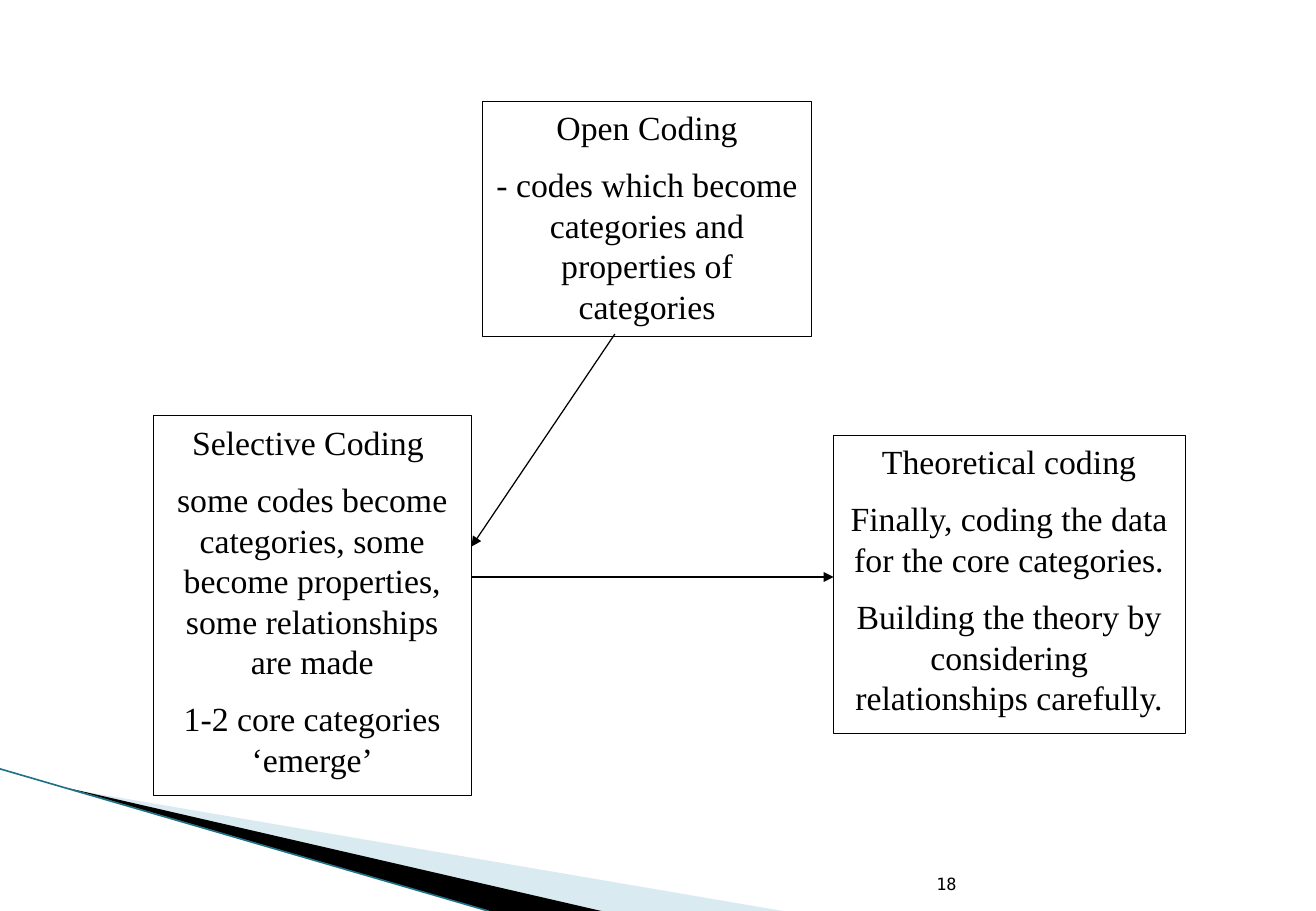
from dataclasses import dataclass

from lxml.etree import SubElement
from pptx import Presentation
from pptx.dml.color import RGBColor as RGB
from pptx.enum.shapes import MSO_CONNECTOR as CONN, MSO_SHAPE as SHAPE
from pptx.enum.text import MSO_ANCHOR as ANCHOR, PP_ALIGN as ALIGN
from pptx.oxml.ns import qn
from pptx.util import Inches, Pt


@dataclass(frozen=True)
class Theme:
    ink: RGB = RGB(0, 0, 0)
    pale: RGB = RGB(0xA0, 0xCB, 0xDC)
    teal: RGB = RGB(0x1F, 0x71, 0x86)
    body_font: str = "Times New Roman"
    number_font: str = "DejaVu Sans Mono"
    body_size: int = 20
    number_size: int = 10
    box_line: float = 0.25
    arrow_line: float = 0.75
    edge_line: float = 0.95


THEME = Theme()


def add_text(tf, paragraphs, *, font=THEME.body_font, size=THEME.body_size,
             color=THEME.ink, align=ALIGN.CENTER, anchor=ANCHOR.TOP, before=0):
    tf.word_wrap = True
    tf.vertical_anchor = anchor
    for i, text in enumerate(paragraphs):
        p = tf.add_paragraph() if i else tf.paragraphs[0]
        p.alignment = align
        p.space_before = Pt(before)
        r = p.add_run()
        r.text = text
        r.font.name, r.font.size, r.font.color.rgb = font, Pt(size), color


def add_line(slide, start, end, color, width, arrow=False):
    x1, y1, x2, y2 = (Inches(v) for v in (*start, *end))
    line = slide.shapes.add_connector(CONN.STRAIGHT, x1, y1, x2, y2)
    line.line.color.rgb = color
    line.line.width = Pt(width)
    if arrow:
        SubElement(line.line._get_or_add_ln(), qn("a:tailEnd"), type="triangle")
    SubElement(line._element.spPr, qn("a:effectLst"))


def add_wedge(slide, box, points, color, opacity=100):
    """Draw a filled outline; points are offsets from the box corner."""
    left, top = box[:2]
    pts = [(Inches(left + x), Inches(top + y)) for x, y in points]
    builder = slide.shapes.build_freeform(*pts[0])
    builder.add_line_segments(pts[1:], close=True)
    sp = builder.convert_to_shape()
    sp.shadow.inherit = False
    sp.fill.solid()
    sp.fill.fore_color.rgb = color
    sp.line.fill.background()
    if opacity < 100:
        clr = sp._element.spPr.find(".//" + qn("a:srgbClr"))
        SubElement(clr, qn("a:alpha"), val=str(opacity * 1000))


def add_corner(slide, box):
    """Swoosh in the lower left corner."""
    left, top, width, height = box
    add_wedge(slide, box, [(0.59, 0.17), (6.44, height), (4.94, height)],
              THEME.pale, opacity=40)
    add_wedge(slide, box, [(0.57, 0.16), (4.95, height), (4.03, height)],
              THEME.ink)
    add_line(slide, (left, top), (left + 4.02, top + height),
             THEME.teal, THEME.edge_line)


def add_coding_box(slide, box, paragraphs):
    sp = slide.shapes.add_shape(SHAPE.RECTANGLE, *(Inches(v) for v in box))
    sp.shadow.inherit = False
    sp.fill.background()
    sp.line.color.rgb = THEME.ink
    sp.line.width = Pt(THEME.box_line)
    add_text(sp.text_frame, paragraphs, before=THEME.body_size / 2)


def add_page_number(slide, box, number):
    sp = slide.shapes.add_textbox(*(Inches(v) for v in box))
    add_text(sp.text_frame, [number], font=THEME.number_font,
             size=THEME.number_size, align=ALIGN.RIGHT, anchor=ANCHOR.BOTTOM)


OPEN_BOX = (3.97, 0.83, 2.71, 1.94)
SELECTIVE_BOX = (1.26, 3.42, 2.62, 3.13)
THEORETICAL_BOX = (6.86, 3.58, 2.89, 2.46)

CODING_STEPS = [
    (OPEN_BOX, ["Open Coding",
                "- codes which become categories and properties of categories"]),
    (SELECTIVE_BOX, ["Selective Coding ",
                     "some codes become categories, some become properties, "
                     "some relationships are made",
                     "1-2 core categories ‘emerge’"]),
    (THEORETICAL_BOX, ["Theoretical coding",
                       "Finally, coding the data for the core categories.",
                       "Building the theory by considering relationships "
                       "carefully."]),
]

prs = Presentation()
prs.slide_width, prs.slide_height = Inches(10.83), Inches(7.5)
slide = prs.slides.add_slide(prs.slide_layouts[6])

# Decoration and page number
add_corner(slide, (0, 6.33, 6.44, 1.17))
add_page_number(slide, (5.19, 7.01, 2.78, 0.4), "18")

# Coding steps
for box, paragraphs in CODING_STEPS:
    add_coding_box(slide, box, paragraphs)

# Arrows leave and reach the right edge of the selective coding box
selective_right = SELECTIVE_BOX[0] + SELECTIVE_BOX[2]
for start, end in [((5.06, 2.75), (selective_right, 4.5)),
                   ((selective_right, 4.75), (THEORETICAL_BOX[0], 4.75))]:
    add_line(slide, start, end, THEME.ink, THEME.arrow_line, arrow=True)

prs.save("out.pptx")
